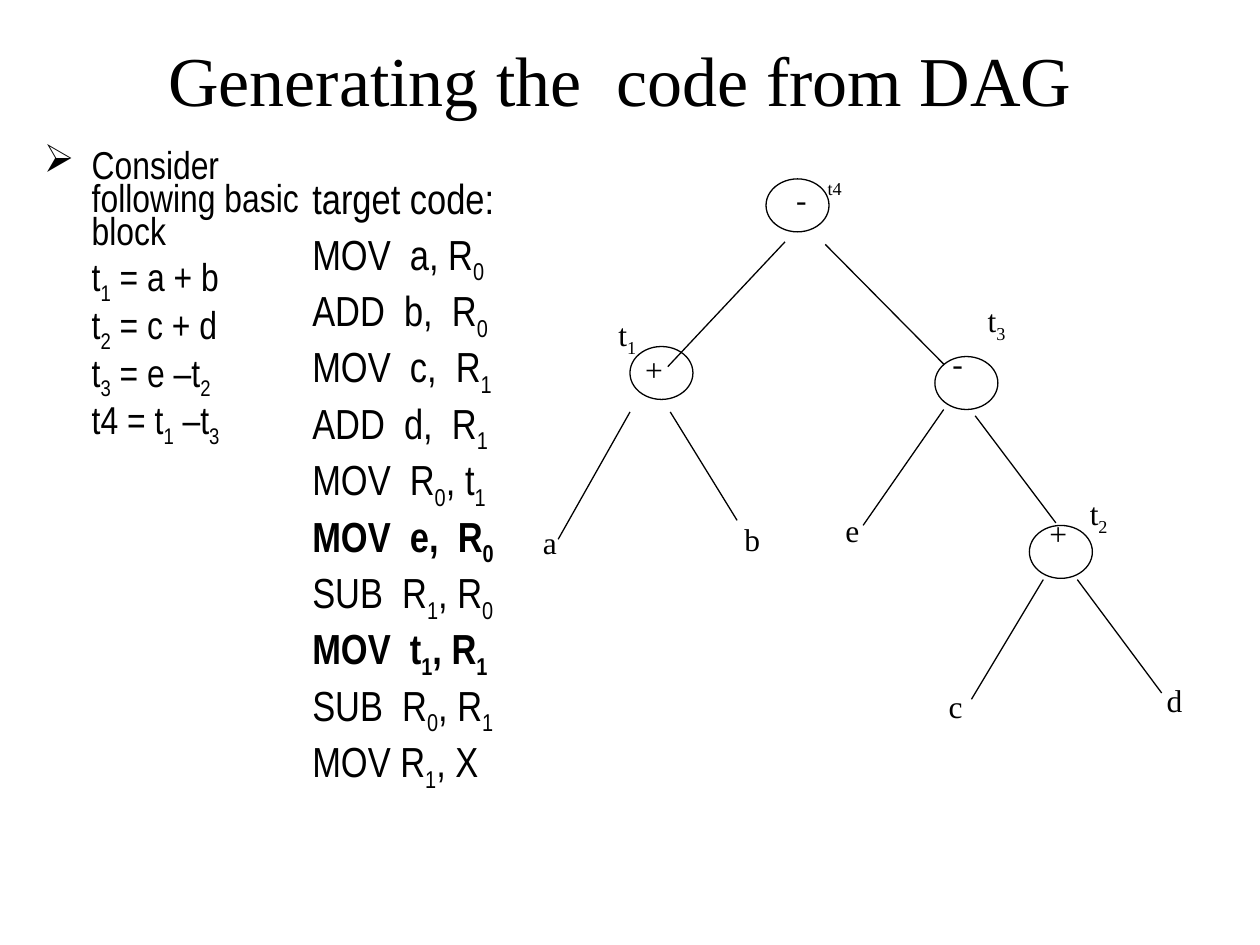
from lxml import etree
from pptx import Presentation
from pptx import util as u
from pptx.dml.color import RGBColor
from pptx.enum import shapes, text
from pptx.oxml.ns import qn

COLORS = {"ink": "000000", "paper": "FFFFFF"}
INK = RGBColor.from_string(COLORS["ink"])
SERIF, NARROW = "Times New Roman", "Arial Narrow"


def write(frame, lines, font=SERIF, size=18, align=None, spacing=None, before=0,
          indent=0, bullet=None, bold_lines=()):
    """Fill a frame line by line; the character after each underscore is a subscript."""
    for i, line in enumerate(lines):
        paragraph = frame.paragraphs[0] if i == 0 else frame.add_paragraph()
        paragraph.alignment = align
        paragraph.line_spacing = spacing
        paragraph.space_before = u.Pt(before if i else 0)
        props = paragraph._p.get_or_add_pPr()
        props.set("marL", str(u.Inches(indent)))
        hanging = bullet and i == 0
        props.set("indent", str(u.Inches(-indent if hanging else 0)))
        if hanging:
            etree.SubElement(props, qn("a:buChar")).set("char", bullet)
        else:
            etree.SubElement(props, qn("a:buNone"))
        first, *rest = line.split("_")
        pieces = [(first, False)]
        for part in rest:
            pieces += [(part[0], True), (part[1:], False)]
        for piece, lowered in pieces:
            if not piece:
                continue
            run = paragraph.add_run()
            run.text = piece
            run.font.name = font
            run.font.size = u.Pt(size)
            run.font.bold = line in bold_lines
            run.font.color.rgb = INK
            if lowered:
                run._r.get_or_add_rPr().set("baseline", "-25000")


prs = Presentation()
prs.slide_width, prs.slide_height = u.Inches(10), u.Inches(7.5)
slide = prs.slides.add_slide(prs.slide_layouts[5])
slide.background.fill.solid()
slide.background.fill.fore_color.rgb = RGBColor.from_string(COLORS["paper"])

title = slide.shapes.title
title.left, title.top, title.width, title.height = map(u.Inches, (0.67, 0, 8.5, 1.25))
title.text_frame.vertical_anchor = text.MSO_ANCHOR.MIDDLE
write(title.text_frame, ["Generating the  code from DAG"], size=40,
      align=text.PP_ALIGN.CENTER)

basic_block = slide.shapes.add_textbox(*map(u.Inches, (0.25, 1.17, 2.3, 3.22)))
basic_block.text_frame.word_wrap = True
write(basic_block.text_frame,
      ["Consider following basic block", "t_1 = a + b", "t_2 = c + d",
       "t_3 = e –t_2", "t4 = t_1 –t_3"],
      font=NARROW, size=22.2, spacing=0.7, before=6, indent=0.38, bullet="➢")

# Tree labels: text, left, top, width, height
labels = [
    ("-", 6.22, 1.38, 0.28, 0.4), ("+", 5.02, 2.73, 0.34, 0.4),
    ("a", 4.21, 4.1, 0.31, 0.4), ("b", 5.81, 4.08, 0.32, 0.4),
    ("-", 7.46, 2.68, 0.28, 0.4), ("e", 6.61, 4.01, 0.31, 0.4),
    ("+", 8.23, 4.03, 0.34, 0.4), ("c", 7.43, 5.4, 0.31, 0.4),
    ("d", 9.16, 5.36, 0.32, 0.4),
    ("_t_4", 6.47, 1.19, 0.31, 0.44), ("t_3", 7.74, 2.34, 0.34, 0.44),
    ("t_2", 8.55, 3.87, 0.34, 0.44), ("t_1", 4.81, 2.45, 0.34, 0.44),
]
for name, *place in labels:
    label = slide.shapes.add_textbox(*map(u.Inches, place))
    label.text_frame.word_wrap = False
    write(label.text_frame, [name], align=text.PP_ALIGN.CENTER)

# Tree edges: parent end, child end
edges = [
    (6.23, 1.92, 5.3, 2.91), (5, 3.27, 4.43, 4.28), (5.32, 3.27, 5.85, 4.13),
    (6.55, 1.94, 7.49, 2.89), (7.49, 3.25, 6.85, 4.17), (7.74, 3.3, 8.38, 4.15),
    (8.28, 4.6, 7.71, 5.55), (8.55, 4.6, 9.22, 5.5),
]
for ends in edges:
    edge = slide.shapes.add_connector(shapes.MSO_CONNECTOR.STRAIGHT, *map(u.Inches, ends))
    edge.line.color.rgb = INK
    edge.line.width = u.Pt(0.75)
    etree.SubElement(edge._element.spPr, qn("a:effectLst"))

for left, top in [(6.08, 1.42), (5, 2.75), (7.42, 2.83), (8.17, 4.17)]:
    node = slide.shapes.add_shape(shapes.MSO_SHAPE.OVAL,
                                  *map(u.Inches, (left, top, 0.5, 0.42)))
    node.shadow.inherit = False
    node.fill.background()
    node.line.color.rgb = INK
    node.line.width = u.Pt(0.75)

target_code = slide.shapes.add_textbox(*map(u.Inches, (2, 1.4, 2.42, 5.82)))
target_code.text_frame.word_wrap = True
write(target_code.text_frame,
      ["target code:", "MOV  a, R_0", "ADD  b,  R_0", "MOV  c,  R_1", "ADD  d,  R_1",
       "MOV  R_0, t_1", "MOV  e,  R_0", "SUB  R_1, R_0", "MOV  t_1, R_1",
       "SUB  R_0, R_1", "MOV R_1, X"],
      font=NARROW, size=24, spacing=0.8, before=6, indent=0.38,
      bold_lines=("MOV  e,  R_0", "MOV  t_1, R_1"))

prs.save("out.pptx")
